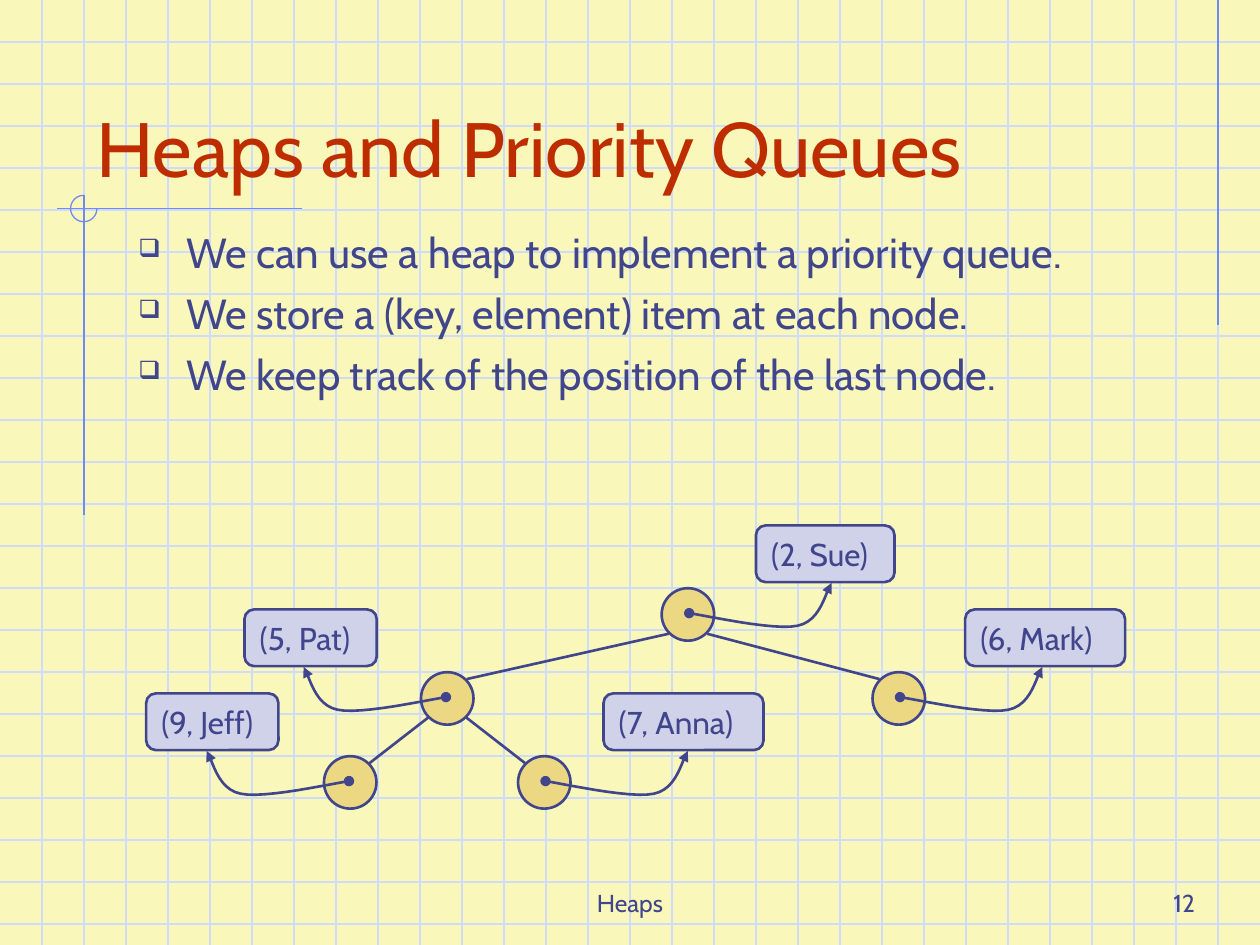
from dataclasses import dataclass
from typing import Optional

from lxml.etree import SubElement
from pptx import Presentation
from pptx.dml.color import RGBColor
from pptx.enum.shapes import MSO_CONNECTOR as Connector, MSO_SHAPE as Shape
from pptx.enum.text import MSO_ANCHOR as Anchor, MSO_AUTO_SIZE as AutoSize, PP_ALIGN as Align
from pptx.oxml.ns import qn
from pptx.util import Inches, Pt

PAPER = RGBColor(0xF9, 0xF8, 0xBA)
GRID = RGBColor(0xCF, 0xDB, 0xFD)
ORNAMENT = RGBColor(0x6F, 0x89, 0xF7)
INK = RGBColor(0x40, 0x45, 0x8C)
TITLE = RGBColor(0xBE, 0x2D, 0x00)
GOLD = RGBColor(0xEC, 0xD8, 0x82)
LAVENDER = RGBColor(0xD0, 0xD2, 0xEA)

FONT = "Cabin"
COLUMNS, ROWS = 30, 22.5
NODE_SIZE = 1.25
LABEL_HEIGHT = 1.35
LABEL_RISE = 2.12
EDGE_INSET = 0.46
CURVE_STEPS = 12
POINTER_CURVES = (
    ((0, 0), (0.42, 0.06), (2.01, 0.42), (2.58, 0.3)),
    ((2.58, 0.3), (3.15, 0.18), (3.24, -0.51), (3.39, -0.72)),
)


@dataclass(frozen=True)
class Node:
    column: float
    row: float
    text: str
    label_column: float
    label_width: float
    direction: int
    parent: Optional[int] = None


NODES = (
    Node(16.38, 14.63, "(2, Sue)", 18, 3.3, 1),
    Node(21.4, 16.63, "(6, Mark)", 22.98, 3.81, 1, 0),
    Node(10.65, 16.63, "(5, Pat)", 5.82, 3.15, -1, 0),
    Node(8.34, 18.63, "(9, Jeff)", 3.48, 3.15, -1, 2),
    Node(12.96, 18.63, "(7, Anna)", 14.37, 3.81, 1, 2),
)
BULLETS = (
    "We can use a heap to implement a priority queue.",
    "We store a (key, element) item at each node.",
    "We keep track of the position of the last node.",
)


def cells(*values: float) -> list[int]:
    return [round(Inches(10) * value / COLUMNS) for value in values]


def draw_line(slide, start: tuple, end: tuple, color: RGBColor, width: float) -> None:
    line = slide.shapes.add_connector(Connector.STRAIGHT, *cells(*start, *end))
    line.line.color.rgb = color
    line.line.width = Pt(width)
    SubElement(line._element.spPr, qn("a:effectLst"))


def outline(shape, color: RGBColor, width: float, fill: Optional[RGBColor] = None) -> None:
    shape.shadow.inherit = False
    shape.line.color.rgb = color
    shape.line.width = Pt(width)
    if fill is None:
        shape.fill.background()
    else:
        shape.fill.solid()
        shape.fill.fore_color.rgb = fill


def format_text(shape, size: float, color: RGBColor, align=Align.LEFT, anchor=Anchor.TOP) -> None:
    frame = shape.text_frame
    frame.word_wrap = True
    frame.auto_size = AutoSize.NONE
    frame.vertical_anchor = anchor
    for paragraph in frame.paragraphs:
        paragraph.alignment = align
        for run in paragraph.runs:
            run.font.name = FONT
            run.font.size = Pt(size)
            run.font.color.rgb = color


def draw_background(slide) -> None:
    slide.background.fill.solid()
    slide.background.fill.fore_color.rgb = PAPER
    for row in range(1, int(ROWS) + 1):
        draw_line(slide, (0, row), (COLUMNS, row), GRID, 0.75)
    for column in range(1, COLUMNS):
        draw_line(slide, (column, 0), (column, ROWS), GRID, 0.75)
    draw_line(slide, (29, 0), (29, 7.74), ORNAMENT, 0.75)
    draw_line(slide, (7.2, 4.97), (1.36, 4.97), ORNAMENT, 0.75)
    draw_line(slide, (2, 4.65), (2, 12.27), ORNAMENT, 0.75)
    arc = slide.shapes.add_shape(Shape.ARC, *cells(1.68, 4.65, 0.63, 0.63))
    arc.adjustments[0] = 0
    arc.adjustments[1] = 162
    outline(arc, ORNAMENT, 0.75)


def draw_footer(slide, text: str, left: float, width: float, align) -> None:
    box = slide.shapes.add_textbox(*cells(left, 20.5, width, 1.5))
    box.text_frame.text = text
    format_text(box, 14, INK, align, Anchor.BOTTOM)


def draw_title(slide) -> None:
    title = slide.shapes.title
    slide.shapes._spTree.append(title._element)
    title.left, title.top, title.width, title.height = cells(2, 1, 25.5, 3.75)
    title.text_frame.text = "Heaps and Priority Queues"
    format_text(title, 44, TITLE, anchor=Anchor.BOTTOM)


def draw_bullets(slide) -> None:
    box = slide.shapes.add_textbox(*cells(3, 5.25, 25.25, 5.5))
    box.text_frame.text = "\n".join(BULLETS)
    for index, paragraph in enumerate(box.text_frame.paragraphs):
        properties = paragraph._p.get_or_add_pPr()
        properties.set("marL", str(Inches(0.38)))
        properties.set("indent", str(-Inches(0.38)))
        color = SubElement(properties, qn("a:buClr"))
        SubElement(color, qn("a:srgbClr"), val=str(INK))
        SubElement(properties, qn("a:buSzPct"), val="60000")
        SubElement(properties, qn("a:buChar"), char="❑")
        if index:
            paragraph.space_before = Pt(6)
    format_text(box, 24, INK)


def draw_node(slide, node: Node) -> None:
    half = NODE_SIZE / 2
    circle = slide.shapes.add_shape(
        Shape.OVAL, *cells(node.column - half, node.row - half, NODE_SIZE, NODE_SIZE))
    outline(circle, INK, 1.5, GOLD)


def draw_edge(slide, parent: Node, child: Node) -> None:
    shift = EDGE_INSET if child.column > parent.column else -EDGE_INSET
    draw_line(slide, (parent.column + shift, parent.row + EDGE_INSET),
              (child.column - shift, child.row - EDGE_INSET), INK, 1.5)


def draw_label(slide, node: Node) -> None:
    label = slide.shapes.add_shape(Shape.ROUNDED_RECTANGLE, *cells(
        node.label_column, node.row - LABEL_RISE, node.label_width, LABEL_HEIGHT))
    label.adjustments[0] = 0.17
    outline(label, INK, 1.5, LAVENDER)
    label.text_frame.text = node.text
    format_text(label, 18, INK, anchor=Anchor.MIDDLE)


def curve_point(curve: tuple, share: float) -> tuple:
    rest = 1 - share
    weights = (rest ** 3, 3 * rest ** 2 * share, 3 * rest * share ** 2, share ** 3)
    return tuple(sum(weight * point[axis] for weight, point in zip(weights, curve))
                 for axis in (0, 1))


def draw_pointer(slide, node: Node) -> None:
    offsets = [curve_point(curve, step / CURVE_STEPS)
               for curve in POINTER_CURVES for step in range(1, CURVE_STEPS + 1)]
    start = node.column + 0.03 * node.direction
    points = [cells(start + node.direction * across, node.row - 0.03 + down)
              for across, down in [(0, 0)] + offsets]
    builder = slide.shapes.build_freeform(*points[0])
    builder.add_line_segments(points[1:], close=False)
    pointer = builder.convert_to_shape()
    outline(pointer, INK, 1.5)
    line = pointer._element.spPr.get_or_add_ln()
    SubElement(line, qn("a:round"))
    SubElement(line, qn("a:headEnd"), type="oval")
    SubElement(line, qn("a:tailEnd"), type="triangle")


def main() -> None:
    presentation = Presentation()
    presentation.slide_width, presentation.slide_height = cells(COLUMNS, ROWS)
    slide = presentation.slides.add_slide(presentation.slide_layouts[5])
    draw_background(slide)
    draw_footer(slide, "Heaps", 10.25, 9.5, Align.CENTER)
    draw_footer(slide, "12", 22.5, 6.25, Align.RIGHT)
    draw_title(slide)
    draw_bullets(slide)
    for node in NODES:
        draw_node(slide, node)
    for node in NODES:
        if node.parent is not None:
            draw_edge(slide, NODES[node.parent], node)
        draw_label(slide, node)
        draw_pointer(slide, node)
    presentation.save("out.pptx")


if __name__ == "__main__":
    main()
